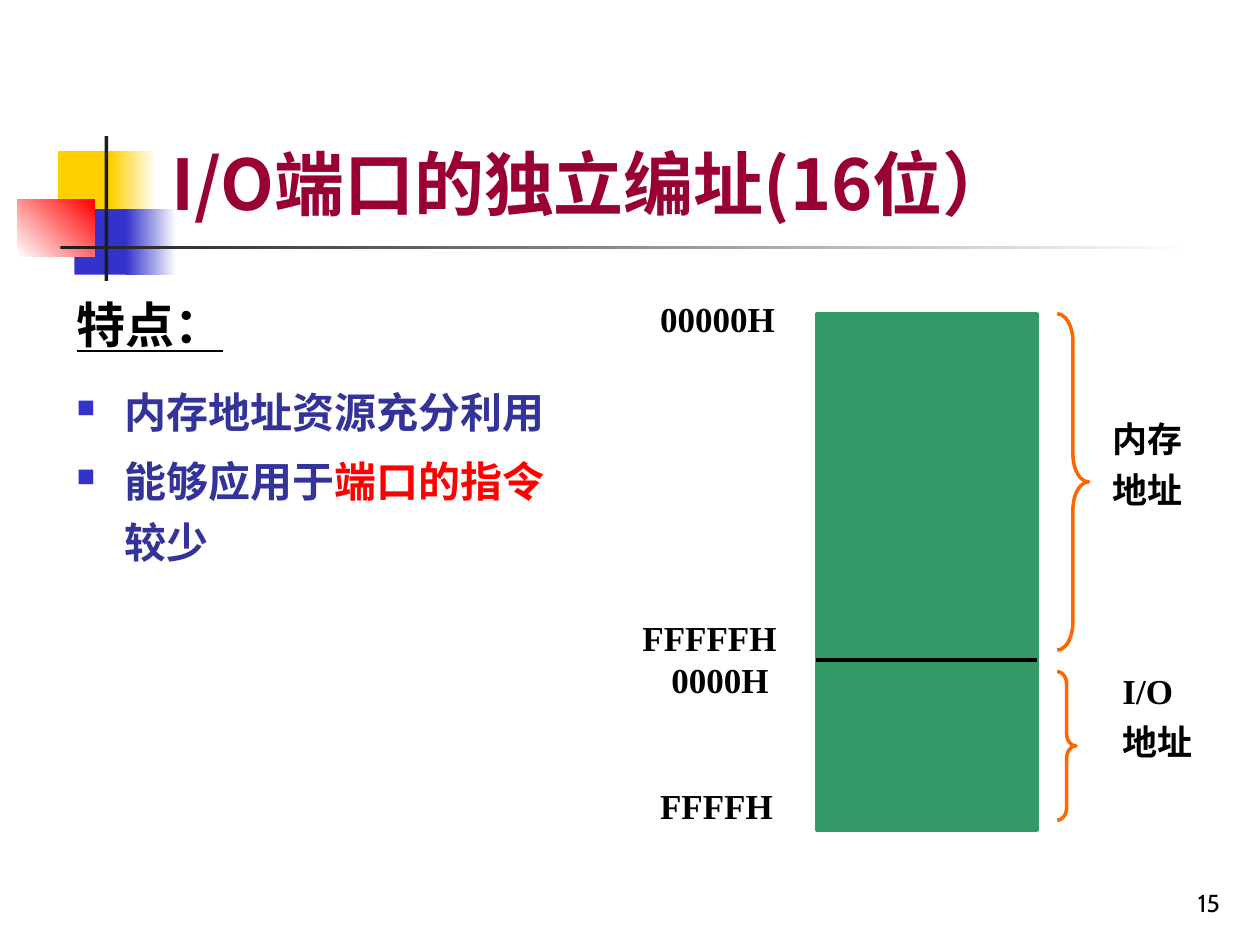
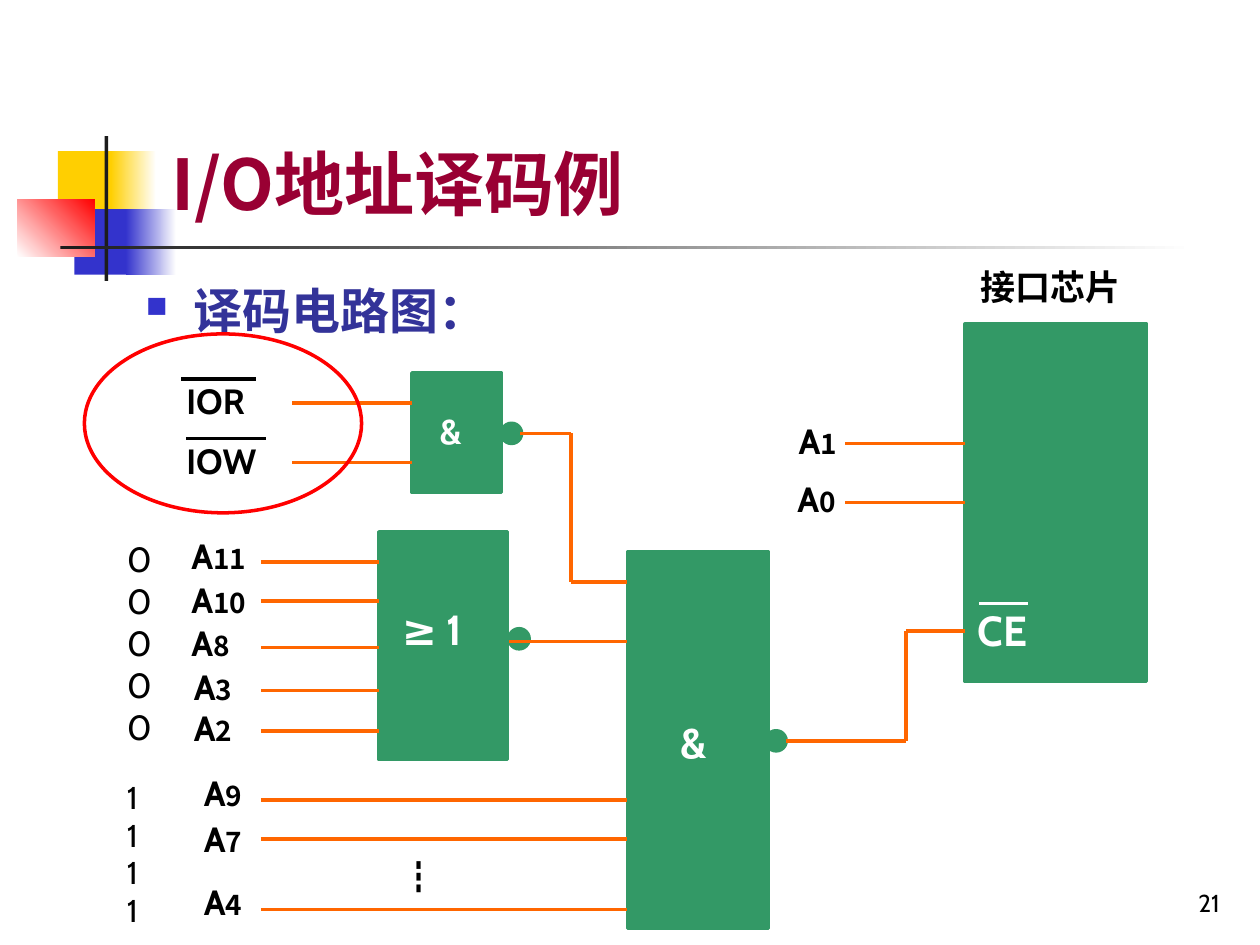
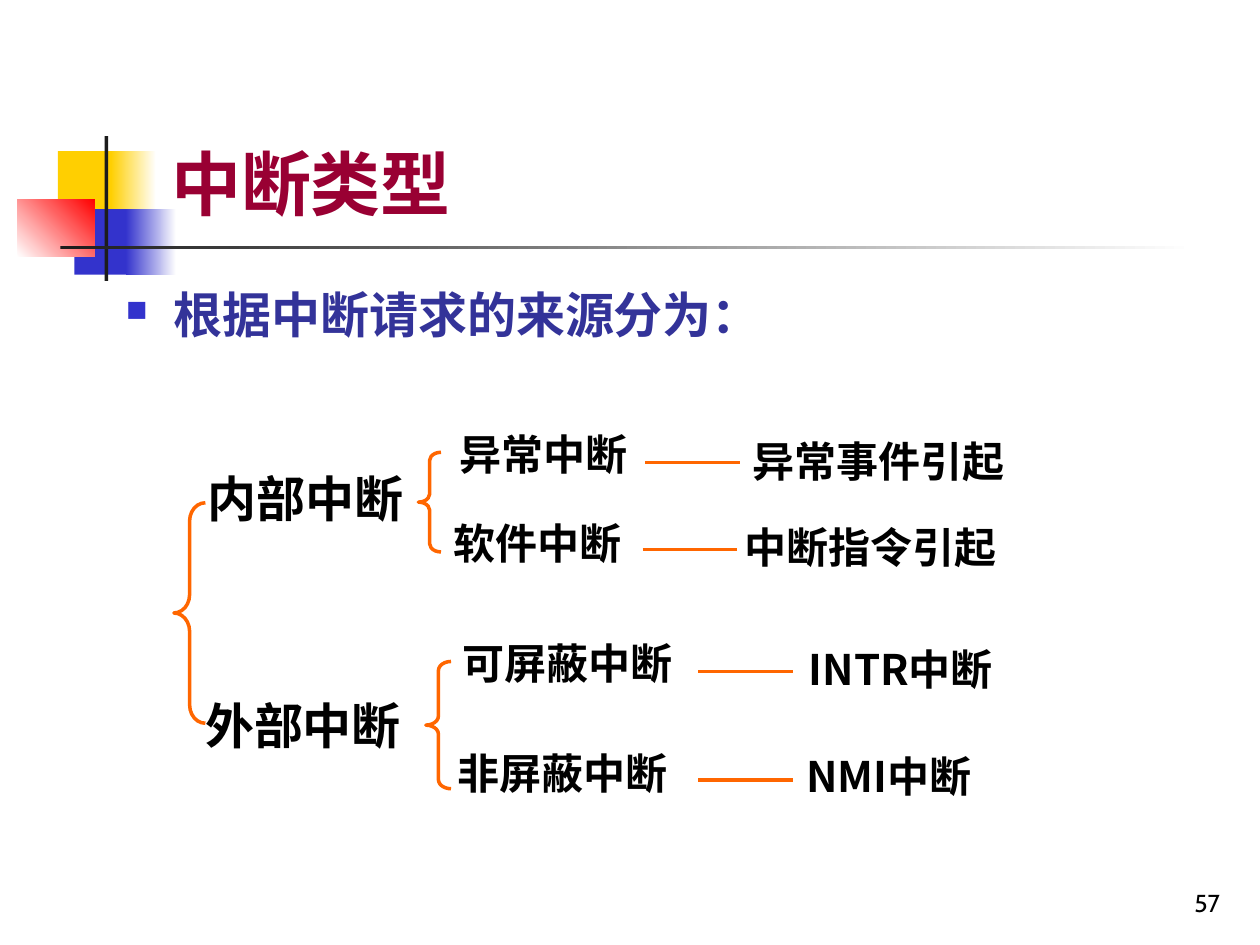
from dataclasses import dataclass
from typing import Optional

from lxml import etree
from pptx import Presentation
from pptx.dml.color import RGBColor
from pptx.enum.shapes import MSO_CONNECTOR, MSO_SHAPE
from pptx.enum.text import MSO_ANCHOR, PP_ALIGN
from pptx.oxml.ns import qn
from pptx.util import Inches, Pt

RECTANGLE = MSO_SHAPE.RECTANGLE
OVAL = MSO_SHAPE.OVAL
LEFT_BRACE = MSO_SHAPE.LEFT_BRACE
RIGHT_BRACE = MSO_SHAPE.RIGHT_BRACE
STRAIGHT = MSO_CONNECTOR.STRAIGHT
BOTTOM = MSO_ANCHOR.BOTTOM
TOP = MSO_ANCHOR.TOP
LEFT = PP_ALIGN.LEFT
RIGHT = PP_ALIGN.RIGHT

CJK, LATIN, SERIF = "Noto Sans CJK SC", "Cabin", "Times New Roman"
BLACK, WHITE, RED = "000000", "FFFFFF", "FF0000"
GREEN, ORANGE, INDIGO = "339966", "FF6600", "333399"
YELLOW, BLUE, CHARCOAL, MAROON = "FFCF01", "3333CC", "1C1C1C", "990033"
STROKE = 2
DOT = 0.16


@dataclass
class Span:
    text: str
    size: float = 20
    font: str = CJK
    color: str = BLACK
    bold: bool = True
    underline: bool = False


@dataclass
class Line:
    spans: list[Span]
    bullet: bool = False
    hanging: bool = False
    spacing: Optional[float] = None
    before: float = 0
    after: float = 0
    align: PP_ALIGN = LEFT


@dataclass
class Band:
    left: float
    top: float
    width: float
    height: float
    start: str
    end: Optional[str] = None
    angle: float = 0


@dataclass
class Brace:
    kind: MSO_SHAPE
    left: float
    top: float
    width: float
    height: float
    curve: float


@dataclass
class Label:
    text: str
    left: float
    top: float
    width: float
    size: float = 20
    font: str = CJK
    color: str = BLACK
    spacing: Optional[float] = None


BANDS = [
    Band(0.46, 1.2, 0.48, 0.52, YELLOW),
    Band(0.88, 1.2, 0.36, 0.52, YELLOW, WHITE),
    Band(0.59, 1.66, 0.46, 0.52, BLUE),
    Band(1, 1.66, 0.4, 0.52, BLUE, WHITE),
    Band(0.14, 1.58, 0.61, 0.46, WHITE, RED, 45),
    Band(0.83, 1.08, 0.03, 1.15, CHARCOAL),
    Band(0.48, 1.95, 9, 0.03, CHARCOAL, WHITE),
]


def rgb(value: str) -> RGBColor:
    return RGBColor.from_string(value)


def draw_shape(page, kind, left, top, width, height, fill=None, line=None):
    shape = page.shapes.add_shape(
        kind, Inches(left), Inches(top), Inches(width), Inches(height))
    shape.shadow.inherit = False
    if fill:
        shape.fill.solid()
        shape.fill.fore_color.rgb = rgb(fill)
    else:
        shape.fill.background()
    if line:
        shape.line.color.rgb = rgb(line)
        shape.line.width = Pt(STROKE)
    else:
        shape.line.fill.background()
    return shape


def draw_band(page, band: Band) -> None:
    shape = draw_shape(page, RECTANGLE, band.left, band.top, band.width,
                       band.height, band.start)
    if band.end:
        shape.fill.gradient()
        shape.fill.gradient_angle = band.angle
        for stop, color in zip(shape.fill.gradient_stops, (band.start, band.end)):
            stop.color.rgb = rgb(color)


def draw_brace(page, brace: Brace) -> None:
    shape = draw_shape(page, brace.kind, brace.left, brace.top, brace.width,
                       brace.height, line=ORANGE)
    shape.adjustments[0] = brace.curve


def draw_path(page, points, color: str = ORANGE) -> None:
    for (x1, y1), (x2, y2) in zip(points, points[1:]):
        connector = page.shapes.add_connector(
            STRAIGHT, Inches(x1), Inches(y1), Inches(x2), Inches(y2))
        connector.line.color.rgb = rgb(color)
        connector.line.width = Pt(STROKE)
        properties = connector._element.find(qn("p:spPr"))
        etree.SubElement(properties, qn("a:effectLst"))


def draw_wire(page, x1: float, x2: float, y: float, color: str = ORANGE) -> None:
    draw_path(page, [(x1, y), (x2, y)], color)


def add_span(para, span: Span) -> None:
    run = para.add_run()
    run.text = span.text
    font = run.font
    font.size = Pt(span.size)
    font.bold = span.bold
    font.underline = span.underline
    font.color.rgb = rgb(span.color)
    font.name = span.font
    east_asian = etree.SubElement(run._r.get_or_add_rPr(), qn("a:ea"))
    east_asian.set("typeface", CJK)


def add_bullet(para) -> None:
    properties = para._p.get_or_add_pPr()
    color = etree.SubElement(properties, qn("a:buClr"))
    etree.SubElement(color, qn("a:srgbClr")).set("val", BLUE)
    etree.SubElement(properties, qn("a:buSzPct")).set("val", "60000")
    etree.SubElement(properties, qn("a:buChar")).set("char", "■")


def draw_text(page, left, top, width, height, lines: list[Line], anchor=TOP) -> None:
    box = page.shapes.add_textbox(
        Inches(left), Inches(top), Inches(width), Inches(height))
    frame = box.text_frame
    frame.word_wrap = True
    frame.vertical_anchor = anchor
    for index, line in enumerate(lines):
        para = frame.add_paragraph() if index else frame.paragraphs[0]
        para.alignment = line.align
        para.space_before = Pt(line.before)
        para.space_after = Pt(line.after)
        if line.spacing:
            para.line_spacing = line.spacing
        if line.hanging or line.bullet:
            properties = para._p.get_or_add_pPr()
            properties.set("marL", str(Inches(0.38)))
            properties.set("indent", str(-Inches(0.38)))
        if line.bullet:
            add_bullet(para)
        for span in line.spans:
            add_span(para, span)


def draw_label(page, label: Label) -> None:
    span = Span(label.text, label.size, label.font, label.color)
    draw_text(page, label.left, label.top, label.width, 0.43,
              [Line([span], spacing=label.spacing)])


def draw_signal(page, number: str, left: float, top: float) -> None:
    spans = [Span("A", font=LATIN), Span(number, 16)]
    draw_text(page, left, top, 0.79, 0.43, [Line(spans)])


def draw_heading(page, text: str, left: float, top: float, width: float) -> None:
    line = Line([Span(text, 28, color=INDIGO)], bullet=True)
    draw_text(page, left, top, width, 0.68, [line])


def new_page(deck, title: str, number: str):
    page = deck.slides.add_slide(deck.slide_layouts[6])
    for band in BANDS:
        draw_band(page, band)
    draw_text(page, 7.7, 6.83, 2.08, 0.5,
              [Line([Span(number, 14, LATIN, bold=False)], align=RIGHT)], BOTTOM)
    draw_text(page, 1.26, 0.23, 8.52, 1.6,
              [Line([Span(title, 40, color=MAROON)])], BOTTOM)
    return page


def build_address_page(deck) -> None:
    page = new_page(deck, "I/O端口的独立编址(16位）", "15")
    points = [
        [Span("内存地址资源充分利用", 24, color=INDIGO)],
        [Span("能够应用于", 24, color=INDIGO), Span("端口的指令", 24, color=RED),
         Span("较少", 24, color=INDIGO)],
    ]
    heading = Line([Span("特点：", 28, underline=True)], hanging=True, after=8.4)
    draw_text(page, 0.51, 2.29, 4.2, 3.19, [heading] + [
        Line(spans, bullet=True, spacing=1.2, before=4.8) for spans in points])

    draw_shape(page, RECTANGLE, 6.48, 2.49, 1.75, 4.1, GREEN, GREEN)
    draw_wire(page, 6.48, 8.23, 5.24, BLACK)
    draw_brace(page, Brace(RIGHT_BRACE, 8.39, 2.49, 0.25, 2.67, 0.89))
    draw_brace(page, Brace(RIGHT_BRACE, 8.39, 5.33, 0.15, 1.18, 0.65))

    for first, font, left, top in [("内存", CJK, 8.73, 3.33), ("I/O", SERIF, 8.81, 5.33)]:
        draw_text(page, left, top, 0.92, 0.8, [
            Line([Span(first, font=font)], spacing=0.8),
            Line([Span("地址")], spacing=0.8, before=10)])
    for text, left, top, width in [
        ("00000H", 5.14, 2.38, 1.34), ("FFFFFH", 5, 4.91, 1.59),
        ("FFFFH", 5.14, 6.24, 1.42), ("0000H", 5.23, 5.24, 1.25),
    ]:
        draw_label(page, Label(text, left, top, width, font=SERIF, spacing=0.8))


def build_decoder_page(deck) -> None:
    page = new_page(deck, "I/O地址译码例", "21")
    draw_heading(page, "译码电路图：", 1.06, 2.18, 4.73)

    for left, top, width, height in [
        (7.66, 2.57, 1.44, 2.84), (4.98, 4.38, 1.12, 2.99),
        (3.01, 4.22, 1.02, 1.81), (3.27, 2.96, 0.71, 0.95),
    ]:
        draw_shape(page, RECTANGLE, left, top, width, height, GREEN, GREEN)
    for left, top in [(4.04, 4.99), (6.08, 5.8), (3.98, 3.36)]:
        draw_shape(page, OVAL, left, top, DOT, DOT, GREEN, GREEN)

    for start, end, heights in [
        (2.07, 3.01, (4.46, 4.77, 5.14, 5.48, 5.8)),
        (2.07, 4.98, (6.35, 6.66, 7.22)),
        (6.71, 7.66, (3.52, 3.99)),
        (2.32, 3.27, (3.2, 3.67)),
        (4.04, 4.98, (5.09,)),
    ]:
        for y in heights:
            draw_wire(page, start, end, y)
    draw_path(page, [(6.24, 5.88), (7.19, 5.88), (7.19, 5.01), (7.66, 5.01)])
    draw_path(page, [(4.13, 3.44), (4.53, 3.44), (4.53, 4.62), (4.98, 4.62)])

    for number, left, top in [
        ("11", 1.42, 4.19), ("10", 1.42, 4.54), ("8", 1.42, 4.88),
        ("3", 1.44, 5.23), ("2", 1.44, 5.56), ("9", 1.52, 6.07),
        ("7", 1.52, 6.44), ("4", 1.52, 6.94), ("1", 6.24, 3.28), ("0", 6.23, 3.74),
    ]:
        draw_signal(page, number, left, top)
    for label in [
        Label("≥ 1", 3.09, 4.74, 0.95, 24, LATIN, WHITE),
        Label("&", 5.3, 5.64, 0.71, 24, LATIN, WHITE),
        Label("CE", 7.66, 4.75, 0.71, 24, LATIN, WHITE),
        Label("&", 3.39, 3.2, 0.55, 20, LATIN, WHITE),
        Label("IOR", 1.38, 2.96, 0.95, font=LATIN),
        Label("IOW", 1.38, 3.44, 0.95, font=LATIN),
        Label("接口芯片", 7.68, 2.06, 1.57, font=LATIN),
        Label("┇", 3.09, 6.74, 0.63),
    ]:
        draw_label(page, label)
    draw_wire(page, 7.77, 8.16, 4.79, WHITE)
    draw_wire(page, 1.44, 2.03, 3.01, BLACK)
    draw_wire(page, 1.48, 2.11, 3.48, BLACK)
    draw_shape(page, OVAL, 0.67, 2.65, 2.2, 1.42, line=RED)

    zeros = [Line([Span("0", 20, LATIN, bold=False)]) for _ in range(5)]
    ones = [Line([Span("1", 18, LATIN, bold=False)]) for _ in range(4)]
    ones[0].before = 17
    draw_text(page, 0.91, 4.22, 0.57, 3.23, zeros + ones)


def build_interrupt_page(deck) -> None:
    page = new_page(deck, "中断类型", "57")
    draw_heading(page, "根据中断请求的来源分为：", 0.9, 2.21, 8.5)
    for label in [
        Label("内部中断", 1.55, 3.67, 2.11, 28),
        Label("外部中断", 1.53, 5.47, 1.92, 28),
        Label("异常中断", 3.55, 3.35, 2, 24),
        Label("软件中断", 3.5, 4.06, 1.83, 24),
        Label("可屏蔽中断", 3.57, 5.01, 2.33, 24),
        Label("非屏蔽中断", 3.53, 5.88, 2.33, 24),
        Label("异常事件引起", 5.87, 3.41, 2.75, 24),
        Label("中断指令引起", 5.81, 4.09, 2.75, 24),
        Label("INTR中断", 6.32, 5.06, 2.33, 24),
        Label("NMI中断", 6.3, 5.91, 2.33, 24),
    ]:
        draw_label(page, label)
    for brace in [
        Brace(LEFT_BRACE, 1.38, 3.99, 0.25, 1.75, 0.58),
        Brace(LEFT_BRACE, 3.32, 3.59, 0.18, 0.79, 0.35),
        Brace(LEFT_BRACE, 3.38, 5.25, 0.2, 1.01, 0.36),
    ]:
        draw_brace(page, brace)
    for left, y in [(5.12, 3.67), (5.1, 4.36), (5.54, 5.33), (5.54, 6.19)]:
        draw_wire(page, left, left + 0.75, y)


def main() -> None:
    deck = Presentation()
    deck.slide_width = Inches(10)
    deck.slide_height = Inches(7.5)
    build_address_page(deck)
    build_decoder_page(deck)
    build_interrupt_page(deck)
    deck.save("out.pptx")


if __name__ == "__main__":
    main()
